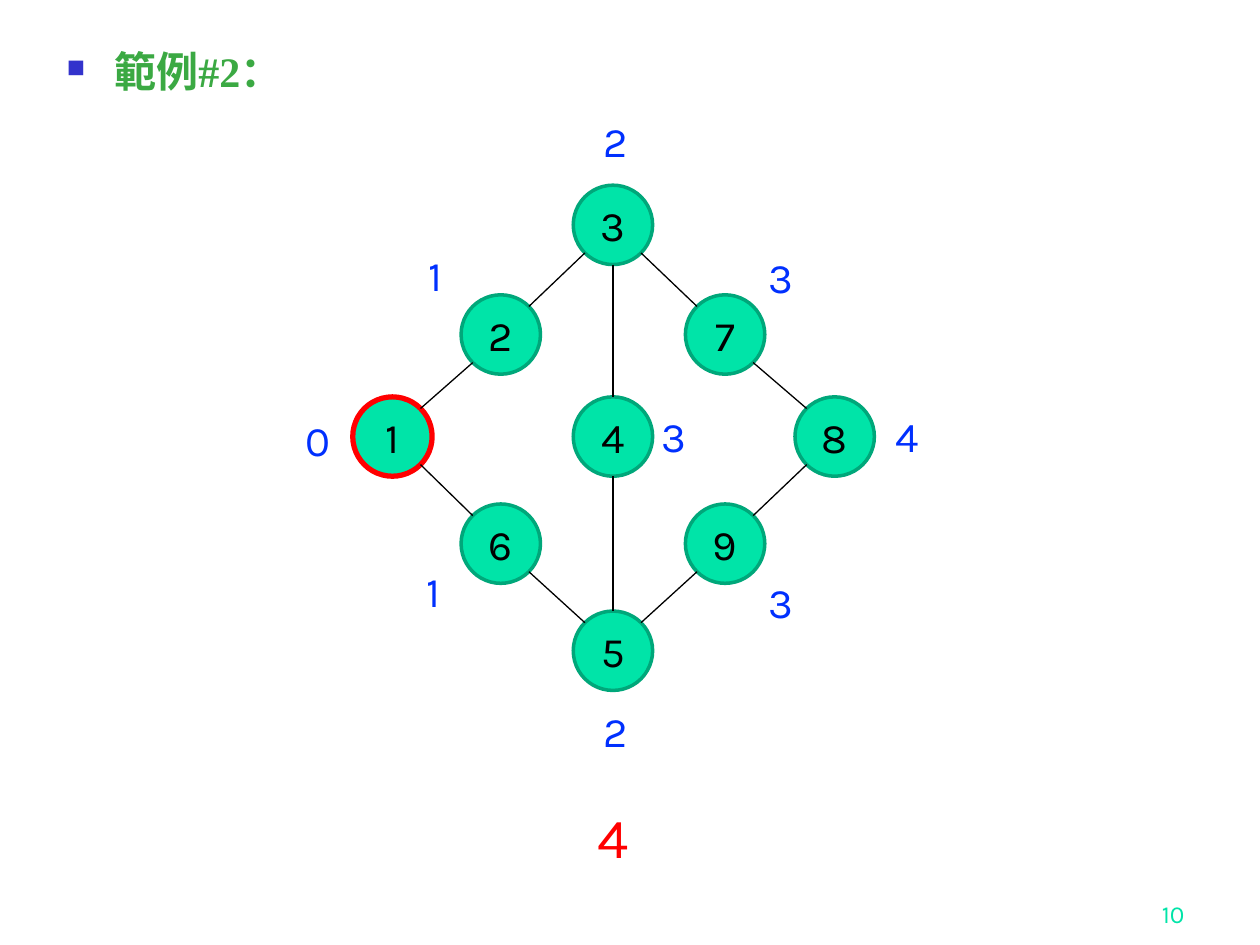
"""Draw a nine-node graph whose nodes carry their distance from node 1."""
from dataclasses import dataclass
from math import sqrt

from lxml import etree
from pptx import Presentation
from pptx.dml.color import RGBColor
from pptx.enum.shapes import MSO_CONNECTOR, MSO_SHAPE
from pptx.enum.text import MSO_ANCHOR, MSO_AUTO_SIZE, PP_ALIGN
from pptx.oxml.ns import qn
from pptx.util import Inches, Pt

OVAL = MSO_SHAPE.OVAL
LINE = MSO_CONNECTOR.STRAIGHT
LEFT, MID, RIGHT = PP_ALIGN.LEFT, PP_ALIGN.CENTER, PP_ALIGN.RIGHT
TOP, CORE, BASE = MSO_ANCHOR.TOP, MSO_ANCHOR.MIDDLE, MSO_ANCHOR.BOTTOM
GROW, FIXED = MSO_AUTO_SIZE.SHAPE_TO_FIT_TEXT, MSO_AUTO_SIZE.NONE

UNIT = Inches(0.1)
WIDE, HIGH = 100, 75
SIZE = 6.3
COLS = (28, 36.6, 45.5, 54.4, 63.1)
ROWS = (14.7, 23.4, 31.5, 40, 48.5)
SANS, SERIF = "Karla", "Times New Roman"
HUES = {
    "mint": "00E4A8", "edge": "00A77A", "red": "FF0000", "blue": "0030FE",
    "black": "000000", "green": "3BA943", "mark": "3333CC",
}


@dataclass(frozen=True)
class Node:
    name: str
    col: int
    row: int
    rim: str = "edge"
    width: float = 2

    @property
    def mid(self) -> tuple[float, float]:
        return COLS[self.col] + SIZE / 2, ROWS[self.row] + SIZE / 2


@dataclass(frozen=True)
class Label:
    text: str
    x: float
    y: float
    wide: float = 3.9
    high: float = 5
    size: int = 24
    hue: str = "blue"
    font: str = SANS
    bold: bool = False
    align: PP_ALIGN = LEFT
    anchor: MSO_ANCHOR = TOP
    wrap: bool = False


NODES = {n.name: n for n in (
    Node("1", 0, 2, "red", 3), Node("2", 1, 1), Node("6", 1, 3),
    Node("4", 2, 2), Node("5", 2, 4), Node("3", 2, 0),
    Node("7", 3, 1), Node("9", 3, 3), Node("8", 4, 2),
)}
EDGES = ("45", "23", "34", "12", "16", "65", "37", "78", "89", "95")
STEPS = (
    Label("0", 23.3, 32.4), Label("1", 33, 19.3), Label("2", 46.9, 8.7),
    Label("3", 60, 19.5), Label("4", 70.1, 32.1), Label("1", 32.9, 44.4),
    Label("2", 46.9, 55.5), Label("3", 60, 45.3), Label("3", 51.5, 32.1),
    Label("4", 46.4, 63.2, 4.5, 6.4, 32, "red"),
)
PAGE = Label("10", 74.2, 69.2, 20.8, 5, 14, "mint",
             align=RIGHT, anchor=BASE, wrap=True)
TITLE = Label("範例#2：", 4.3, 3.6, 28.4, 9.4, 24, "green", SERIF, True,
              wrap=True)


def span(*units: float) -> list[int]:
    """Turn grid units into slide lengths."""
    return [round(u * UNIT) for u in units]


def hue(name: str) -> RGBColor:
    """Look up a colour."""
    return RGBColor.from_string(HUES[name])


def write(shape, item: Label) -> None:
    """Set the text of a shape in the label's style."""
    frame = shape.text_frame
    frame.word_wrap = item.wrap
    frame.vertical_anchor = item.anchor
    para = frame.paragraphs[0]
    para.alignment = item.align
    run = para.add_run()
    run.text = item.text
    font = run.font
    font.name, font.size, font.bold = item.font, Pt(item.size), item.bold
    font.color.rgb = hue(item.hue)


def draw_label(shapes, item: Label):
    """Add a text box and return it."""
    box = shapes.add_textbox(*span(item.x, item.y, item.wide, item.high))
    write(box, item)
    box.text_frame.auto_size = FIXED if item.wrap else GROW
    return box


def draw_title(shapes, item: Label) -> None:
    """Add the heading with its square bullet."""
    para = draw_label(shapes, item).text_frame.paragraphs[0]
    para.line_spacing = 0.9
    props = para._p.get_or_add_pPr()
    props.set("marL", str(Inches(0.38)))
    props.set("indent", str(-Inches(0.38)))
    tint = etree.SubElement(props, qn("a:buClr"))
    etree.SubElement(tint, qn("a:srgbClr"), val=HUES["mark"])
    etree.SubElement(props, qn("a:buSzPct"), val="60000")
    etree.SubElement(props, qn("a:buChar"), char="■")


def draw_node(shapes, node: Node) -> None:
    """Add one numbered circle."""
    x, y = COLS[node.col], ROWS[node.row]
    disc = shapes.add_shape(OVAL, *span(x, y, SIZE, SIZE))
    disc.shadow.inherit = False
    disc.fill.solid()
    disc.fill.fore_color.rgb = hue("mint")
    disc.line.color.rgb = hue(node.rim)
    disc.line.width = Pt(node.width)
    write(disc, Label(node.name, x, y, hue="black", align=MID, anchor=CORE))


def draw_edge(shapes, start: Node, end: Node) -> None:
    """Join two circles from rim to rim, straight down or at the diagonals."""
    (ax, ay), (bx, by) = start.mid, end.mid
    dx, dy = (bx > ax) - (bx < ax), (by > ay) - (by < ay)
    reach = SIZE / 2 / sqrt(dx * dx + dy * dy)
    dx, dy = dx * reach, dy * reach
    edge = shapes.add_connector(LINE, *span(ax + dx, ay + dy, bx - dx, by - dy))
    edge.line.color.rgb = hue("black")
    edge.line.width = Pt(0.75)
    etree.SubElement(edge._element.spPr, qn("a:effectLst"))


def main() -> None:
    """Build and save the slide."""
    deck = Presentation()
    deck.slide_width, deck.slide_height = span(WIDE, HIGH)
    shapes = deck.slides.add_slide(deck.slide_layouts[6]).shapes
    draw_label(shapes, PAGE)
    draw_title(shapes, TITLE)
    for node in NODES.values():
        draw_node(shapes, node)
    for start, end in EDGES:
        draw_edge(shapes, NODES[start], NODES[end])
    for step in STEPS:
        draw_label(shapes, step)
    deck.save("out.pptx")


if __name__ == "__main__":
    main()
